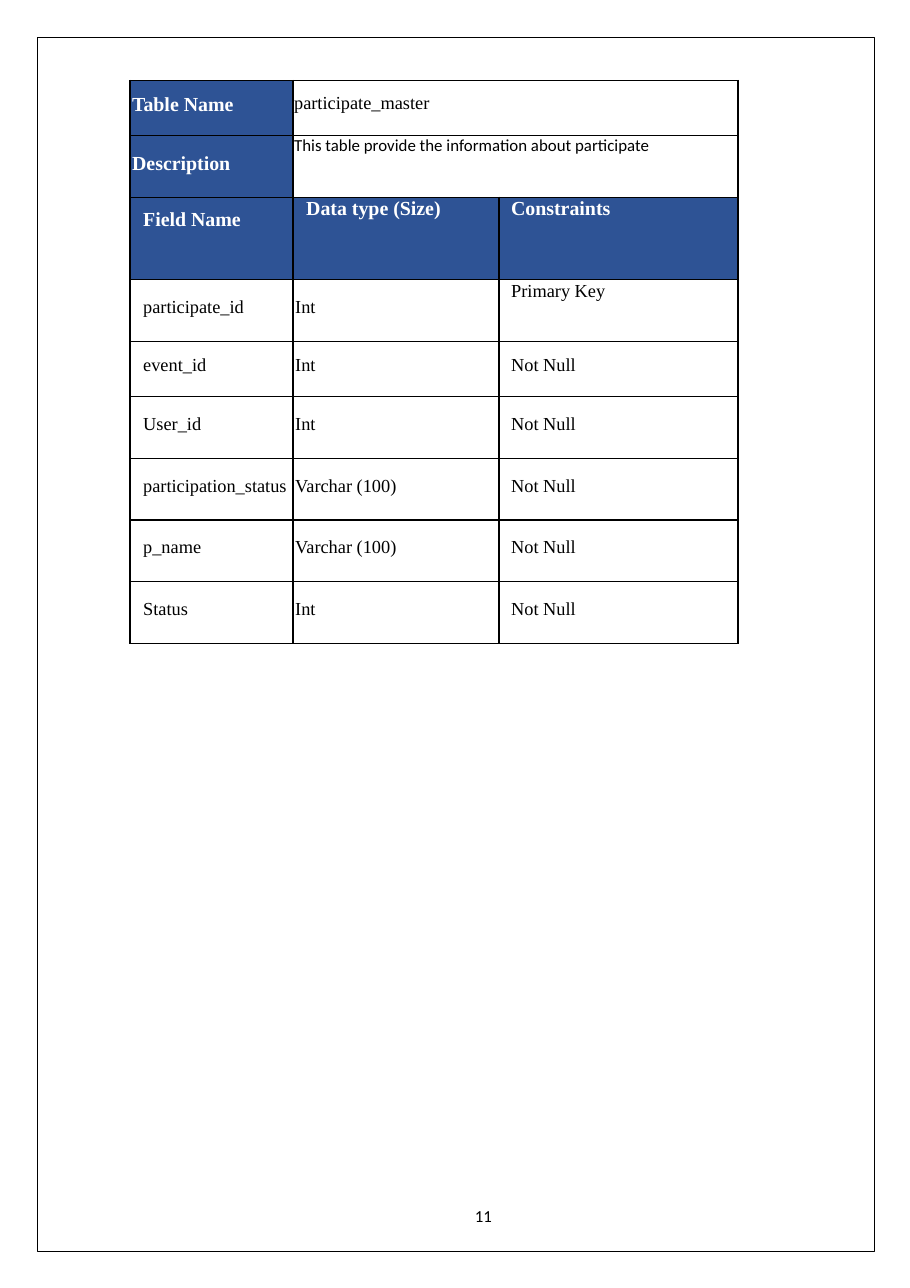
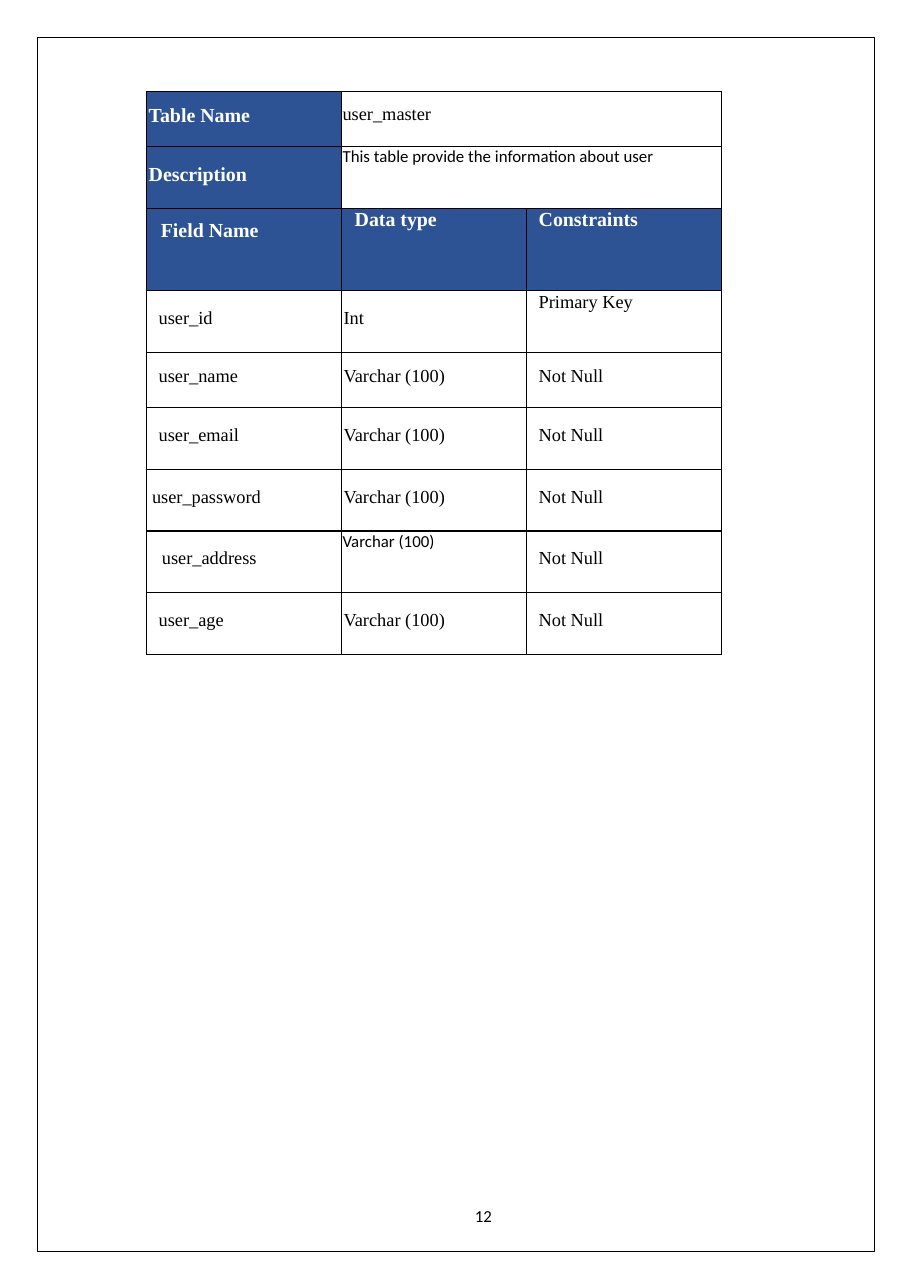
from pptx import Presentation
from pptx import util as u
from pptx.dml.color import RGBColor
from pptx.enum import shapes
from pptx.oxml import parse_xml
from pptx.oxml.ns import nsdecls

COLOURS = {"ink": "000000", "heading": "FFFFFF", "band": "2E5395"}

# Text styles: font, size, bold, colour
STYLES = {
    "heading": ("Times New Roman", 13, True, "heading"),
    "value": ("Times New Roman", 12, False, "ink"),
    "note": ("Calibri", 11, False, "ink"),
}

# Row heights: table name, description, column heads, then the fields
HEAD_HEIGHTS = [0.5, 0.56, 0.75]
FIELD_HEIGHTS = [0.56, 0.5, 0.56, 0.56, 0.56, 0.56]
FIELD_TOPS = [0.16, 0.12, 0.16, 0.16, 0.16, 0.16]


class DictionaryPages:
    """Holds the page style and the current slide."""

    def __init__(self):
        self.deck = Presentation()
        self.deck.slide_width = u.Inches(8.26)
        self.deck.slide_height = u.Inches(11.69)
        self.page = None

    def add_page(self, number):
        self.page = self.deck.slides.add_slide(self.deck.slide_layouts[6])
        self.add_frame()
        self.add_number(number)

    def add_frame(self):
        frame = self.page.shapes.add_shape(
            shapes.MSO_SHAPE.RECTANGLE, u.Inches(0.34), u.Inches(0.34),
            u.Inches(7.6), u.Inches(11.02))
        frame.shadow.inherit = False
        frame.fill.background()
        frame.line.color.rgb = RGBColor.from_string(COLOURS["ink"])
        frame.line.width = u.Pt(0.75)

    def add_number(self, number):
        box = self.page.shapes.add_textbox(
            u.Inches(4.3), u.Inches(10.97), u.Inches(0.23), u.Inches(0.18))
        frame = box.text_frame
        frame.word_wrap = True
        frame.margin_left = u.Inches(0.01)
        frame.margin_right = frame.margin_top = frame.margin_bottom = 0
        self.set_text(frame, str(number), "note")
        frame.paragraphs[0].line_spacing = u.Pt(11.5)

    def set_text(self, frame, words, style):
        font_name, size, bold, colour = STYLES[style]
        para = frame.paragraphs[0]
        para.text = words
        para.font.name = font_name
        para.font.size = u.Pt(size)
        para.font.bold = bold
        para.font.color.rgb = RGBColor.from_string(COLOURS[colour])

    def fill_cell(self, cell, words, style, left, top):
        cell.margin_left, cell.margin_top = u.Inches(left), u.Inches(top)
        cell.margin_right = cell.margin_bottom = 0
        self.set_text(cell.text_frame, words, style)
        if style == "heading":
            cell.fill.solid()
            cell.fill.fore_color.rgb = RGBColor.from_string(COLOURS["band"])

    def add_borders(self, cell):
        properties = cell._tc.get_or_add_tcPr()
        for side in ("lnL", "lnR", "lnT", "lnB"):
            properties.append(parse_xml(
                f'<a:{side} {nsdecls("a")} w="12700"><a:solidFill>'
                f'<a:srgbClr val="{COLOURS["ink"]}"/></a:solidFill></a:{side}>'))

    def add_dictionary(self, left, top, widths, name, description, type_head,
                       fields, indent, indents=None, notes=()):
        """Draw one data table; indents and notes list the exceptions by field."""
        indents = indents or {}
        heights = HEAD_HEIGHTS + FIELD_HEIGHTS
        table = self.page.shapes.add_table(
            len(heights), len(widths), u.Inches(left), u.Inches(top),
            u.Inches(sum(widths)), u.Inches(sum(heights))).table
        table.first_row = table.horz_banding = False
        for column, width in zip(table.columns, widths):
            column.width = u.Inches(width)
        for row, height in zip(table.rows, heights):
            row.height = u.Inches(height)
        for cell in table.iter_cells():
            self.add_borders(cell)
            cell.fill.background()
        for row in (0, 1):
            table.cell(row, 1).merge(table.cell(row, 2))

        # Name, description and column heads
        head_cells = [
            (0, 0, "Table Name", "heading", 0.02, 0.12),
            (0, 1, name, "value", 0.01, 0.12),
            (1, 0, "Description", "heading", 0.02, 0.16),
            (1, 1, description, "note", 0.01, 0),
            (2, 0, "Field Name", "heading", indents.get("Field Name", indent), 0.11),
            (2, 1, type_head, "heading", 0.12, 0.01),
            (2, 2, "Constraints", "heading", 0.11, 0.01),
        ]
        for row, column, *content in head_cells:
            self.fill_cell(table.cell(row, column), *content)

        # One row for each field; the first is the key
        for index, (field, kind) in enumerate(fields):
            row, field_top = index + len(HEAD_HEIGHTS), FIELD_TOPS[index]
            self.fill_cell(table.cell(row, 0), field, "value",
                           indents.get(field, indent), field_top)
            kind_look = ("note", 0.01, 0) if field in notes else ("value", 0.02, field_top)
            self.fill_cell(table.cell(row, 1), kind, *kind_look)
            rule, rule_top = ("Not Null", field_top) if index else ("Primary Key", 0.01)
            self.fill_cell(table.cell(row, 2), rule, "value", 0.11, rule_top)


def main():
    pages = DictionaryPages()
    whole, words = "Int", "Varchar (100)"

    # Participation table
    pages.add_page(11)
    pages.add_dictionary(
        1.18, 0.73, [1.48, 1.87, 2.17], "participate_master",
        "This table provide the information about participate", "Data type (Size)",
        [("participate_id", whole), ("event_id", whole), ("User_id", whole),
         ("participation_status", words), ("p_name", words), ("Status", whole)],
        indent=0.12)

    # User table
    pages.add_page(12)
    pages.add_dictionary(
        1.33, 0.83, [1.77, 1.68, 1.77], "user_master",
        "This table provide the information about user", "Data type",
        [("user_id", whole), ("user_name", words), ("user_email", words),
         ("user_password", words), ("user_address", words), ("user_age", words)],
        indent=0.11,
        indents={"Field Name": 0.13, "user_password": 0.05, "user_address": 0.14},
        notes=("user_address",))

    pages.deck.save("out.pptx")


if __name__ == "__main__":
    main()
